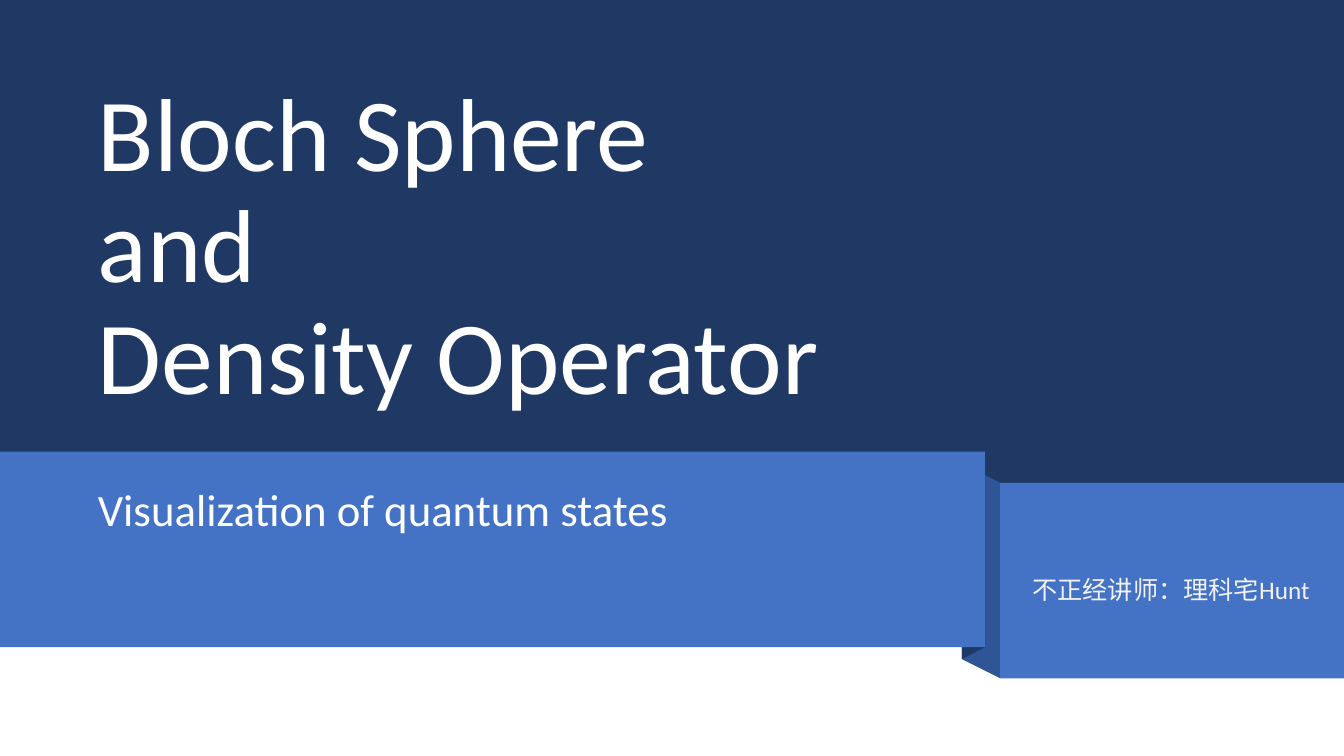
"""Build the title slide for a lecture on the Bloch sphere and density operator."""
from dataclasses import dataclass

from pptx import Presentation
from pptx.dml.color import RGBColor
from pptx.enum.shapes import MSO_SHAPE
from pptx.enum.text import MSO_ANCHOR, MSO_AUTO_SIZE, PP_ALIGN
from pptx.util import Inches, Pt

TITLE = "Bloch Sphere\vand\vDensity Operator"
SUBTITLE = "Visualization of quantum states"
LECTURER = "不正经讲师：理科宅Hunt"


@dataclass(frozen=True)
class Theme:
    font: str = "Calibri"
    navy: str = "203864"
    shade: str = "2F5597"
    ribbon: str = "4472C4"
    title: str = "FFFFFF"
    subtitle: str = "FEFFFF"
    lecturer: str = "F2F2F2"
    title_size: int = 74
    subtitle_size: int = 32
    lecturer_size: int = 18


THEME = Theme()
WIDTH, HEIGHT = 13.33, 7.5
MARGIN = 0.87
RIBBON_TOP, RIBBON_HEIGHT, RIBBON_END = 4.48, 1.94, 9.77
TAIL_LEFT, TAIL_TOP = 9.92, 4.79
FOLD_LEFT, FOLD_TOP = 9.54, 4.6


def paint(shape, color):
    shape.shadow.inherit = False
    shape.fill.solid()
    shape.fill.fore_color.rgb = RGBColor.from_string(color)
    shape.line.fill.background()


def add_panel(shapes, left, top, width, height, color):
    box = map(Inches, (left, top, width, height))
    paint(shapes.add_shape(MSO_SHAPE.RECTANGLE, *box), color)


def add_fold(shapes, start, end, color):
    (x1, y1), (x2, y2) = start, end
    corners = [(x1, y1), (x2, y2), (x2, y2 + RIBBON_HEIGHT), (x1, y1 + RIBBON_HEIGHT)]
    points = [(Inches(x), Inches(y)) for x, y in corners]
    outline = shapes.build_freeform(*points[0])
    outline.add_line_segments(points[1:], close=True)
    paint(outline.convert_to_shape(), color)


def write(shape, text, box, size, color, anchor=MSO_ANCHOR.TOP, spacing=1.0, before=0):
    shape.left, shape.top, shape.width, shape.height = map(Inches, box)
    frame = shape.text_frame
    frame.text = text
    frame.word_wrap = True
    frame.auto_size = MSO_AUTO_SIZE.NONE
    frame.vertical_anchor = anchor
    paragraph = frame.paragraphs[0]
    paragraph.alignment = PP_ALIGN.LEFT
    paragraph.line_spacing = spacing
    paragraph.space_before = Pt(before)
    paragraph.font.name = THEME.font
    paragraph.font.size = Pt(size)
    paragraph.font.color.rgb = RGBColor.from_string(color)


def main():
    deck = Presentation()
    deck.slide_width, deck.slide_height = Inches(WIDTH), Inches(HEIGHT)
    slide = deck.slides.add_slide(deck.slide_layouts[0])
    shapes = slide.shapes
    title, subtitle = slide.placeholders

    add_panel(shapes, 0, 0, WIDTH, 4.98, THEME.navy)
    shapes.element.append(title.element)
    add_fold(shapes, (FOLD_LEFT, FOLD_TOP), (TAIL_LEFT, TAIL_TOP), THEME.shade)
    add_fold(shapes, (FOLD_LEFT, FOLD_TOP), (RIBBON_END, RIBBON_TOP), THEME.navy)
    add_panel(shapes, 0, RIBBON_TOP, RIBBON_END, RIBBON_HEIGHT, THEME.ribbon)
    shapes.element.append(subtitle.element)
    add_panel(shapes, TAIL_LEFT, TAIL_TOP, WIDTH - TAIL_LEFT, RIBBON_HEIGHT, THEME.ribbon)

    write(title, TITLE, (MARGIN, 0.7, 9.05, 3.49), THEME.title_size, THEME.title,
          MSO_ANCHOR.BOTTOM, spacing=0.9)
    write(subtitle, SUBTITLE, (MARGIN, TAIL_TOP, 8.72, 1.4), THEME.subtitle_size,
          THEME.subtitle, spacing=0.9, before=10)
    lecturer = shapes.add_textbox(0, 0, 0, 0)
    write(lecturer, LECTURER, (10.14, 5.65, 3.07, 0.4), THEME.lecturer_size, THEME.lecturer)
    deck.save("out.pptx")


if __name__ == "__main__":
    main()
